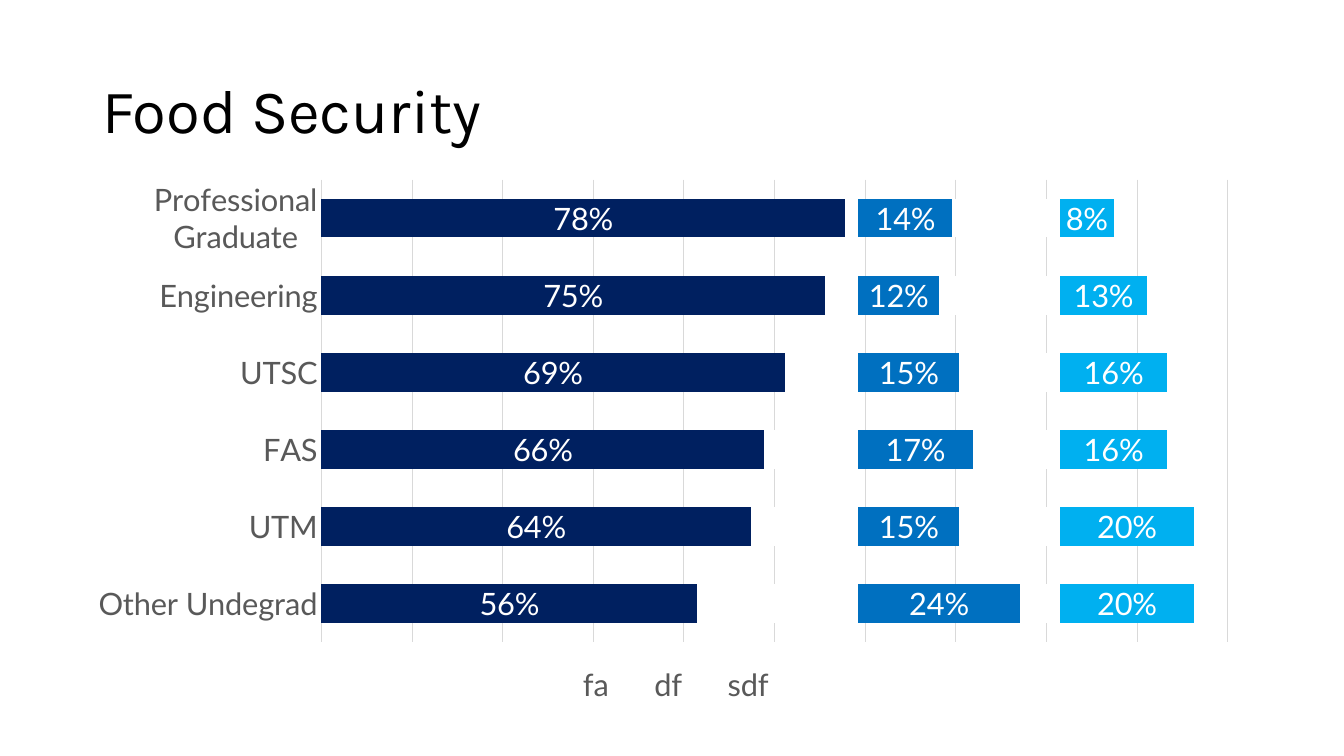
import dataclasses

import lxml.etree
import pptx
import pptx.chart.data
import pptx.dml.color
import pptx.enum.chart
import pptx.enum.text
import pptx.oxml.ns
import pptx.util

Pt = pptx.util.Pt


@dataclasses.dataclass(frozen=True)
class Theme:
    """Colours, fonts and type sizes of the slide."""
    title_font: str = "Karla"
    chart_font: str = "Lato"
    title_size: int = 44
    chart_size: int = 22
    black: str = "000000"
    grey: str = "595959"
    grid: str = "D9D9D9"
    white: str = "FFFFFF"
    navy: str = "002060"
    blue: str = "0070C0"
    sky: str = "00B0F0"


THEME = Theme()
CATEGORIES = ["Other Undegrad", "UTM", "FAS", "UTSC", "Engineering", "Professional Graduate"]
SERIES = [
    ("", THEME.navy, (0.56, 0.64, 0.66, 0.69, 0.75, 0.78)),
    ("fa", THEME.white, (0.24, 0.16, 0.14, 0.11, 0.05, 0.02)),
    ("", THEME.blue, (0.24, 0.15, 0.17, 0.15, 0.12, 0.14)),
    ("df", THEME.white, (0.06, 0.15, 0.13, 0.15, 0.18, 0.16)),
    ("", THEME.sky, (0.2, 0.2, 0.16, 0.16, 0.13, 0.08)),
    ("sdf", None, (0.05, 0.05, 0.09, 0.09, 0.12, 0.17)),
]
HIDDEN_LEGEND_ENTRIES = (1, 3, 5)


def rgb(colour):
    """Turn a hex string into a colour."""
    return pptx.dml.color.RGBColor.from_string(colour)


def style_font(font, name, size, colour):
    """Set the typeface, size and colour of a font."""
    font.name = name
    font.size = Pt(size)
    font.bold = False
    font.color.rgb = rgb(colour)


def style_line(line):
    """Give a chart line the thin grid look."""
    line.color.rgb = rgb(THEME.grid)
    line.width = Pt(0.75)


def add_title(page, text, left, top, width, height):
    """Place the slide title, centred vertically in its box."""
    box = page.shapes.add_textbox(Pt(left), Pt(top), Pt(width), Pt(height))
    frame = box.text_frame
    frame.word_wrap = True
    frame.vertical_anchor = pptx.enum.text.MSO_ANCHOR.MIDDLE
    para = frame.paragraphs[0]
    para.text = text
    para.line_spacing = 0.9
    style_font(para.font, THEME.title_font, THEME.title_size, THEME.black)


def style_series(series, colour):
    """Fill a series, and label it when it is a visible bar."""
    series.invert_if_negative = False
    if colour is None:
        series.format.fill.background()
        return
    series.format.fill.solid()
    series.format.fill.fore_color.rgb = rgb(colour)
    if colour != THEME.white:
        labels = series.data_labels
        labels.show_value = True
        labels.number_format = "0%"
        labels.number_format_is_linked = False
        labels.position = pptx.enum.chart.XL_LABEL_POSITION.CENTER
        style_font(labels.font, THEME.chart_font, THEME.chart_size, THEME.white)


def style_axes(chart):
    """Show category names and vertical grid lines only."""
    category_axis = chart.category_axis
    category_axis.major_tick_mark = pptx.enum.chart.XL_TICK_MARK.NONE
    category_axis.minor_tick_mark = pptx.enum.chart.XL_TICK_MARK.NONE
    style_line(category_axis.format.line)
    style_font(category_axis.tick_labels.font, THEME.chart_font, THEME.chart_size, THEME.grey)
    value_axis = chart.value_axis
    value_axis.visible = False
    value_axis.has_major_gridlines = True
    style_line(value_axis.major_gridlines.format.line)


def style_legend(chart):
    """Put the legend below the bars and leave out the unnamed series."""
    chart.has_legend = True
    legend = chart.legend
    legend.position = pptx.enum.chart.XL_LEGEND_POSITION.BOTTOM
    legend.include_in_layout = False
    style_font(legend.font, THEME.chart_font, THEME.chart_size, THEME.grey)
    qualified = pptx.oxml.ns.qn
    position = legend._element.find(qualified("c:legendPos"))
    for index in reversed(HIDDEN_LEGEND_ENTRIES):
        entry = lxml.etree.Element(qualified("c:legendEntry"))
        lxml.etree.SubElement(entry, qualified("c:idx"), val=str(index))
        lxml.etree.SubElement(entry, qualified("c:delete"), val="1")
        position.addnext(entry)


def add_security_chart(page, left, top, width, height):
    """Place the stacked bars of food security by student group."""
    data = pptx.chart.data.CategoryChartData(number_format="0%")
    data.categories = CATEGORIES
    for name, _, values in SERIES:
        data.add_series(name, values)
    chart = page.shapes.add_chart(
        pptx.enum.chart.XL_CHART_TYPE.BAR_STACKED_100,
        Pt(left), Pt(top), Pt(width), Pt(height), data,
    ).chart
    chart.has_title = False
    style_font(chart.font, THEME.chart_font, THEME.chart_size, THEME.black)
    plot = chart.plots[0]
    plot.gap_width = 99
    plot.overlap = 100
    plot.vary_by_categories = False
    for series, (_, colour, _) in zip(plot.series, SERIES):
        style_series(series, colour)
    style_axes(chart)
    style_legend(chart)


def main():
    """Build and save the deck."""
    deck = pptx.Presentation()
    deck.slide_width, deck.slide_height = Pt(960), Pt(540)
    page = deck.slides.add_slide(deck.slide_layouts[6])
    add_title(page, "Food Security", 66, 28.8, 828, 104.4)
    add_security_chart(page, 53.6, 120.6, 840.2, 385.9)
    deck.save("out.pptx")


if __name__ == "__main__":
    main()
